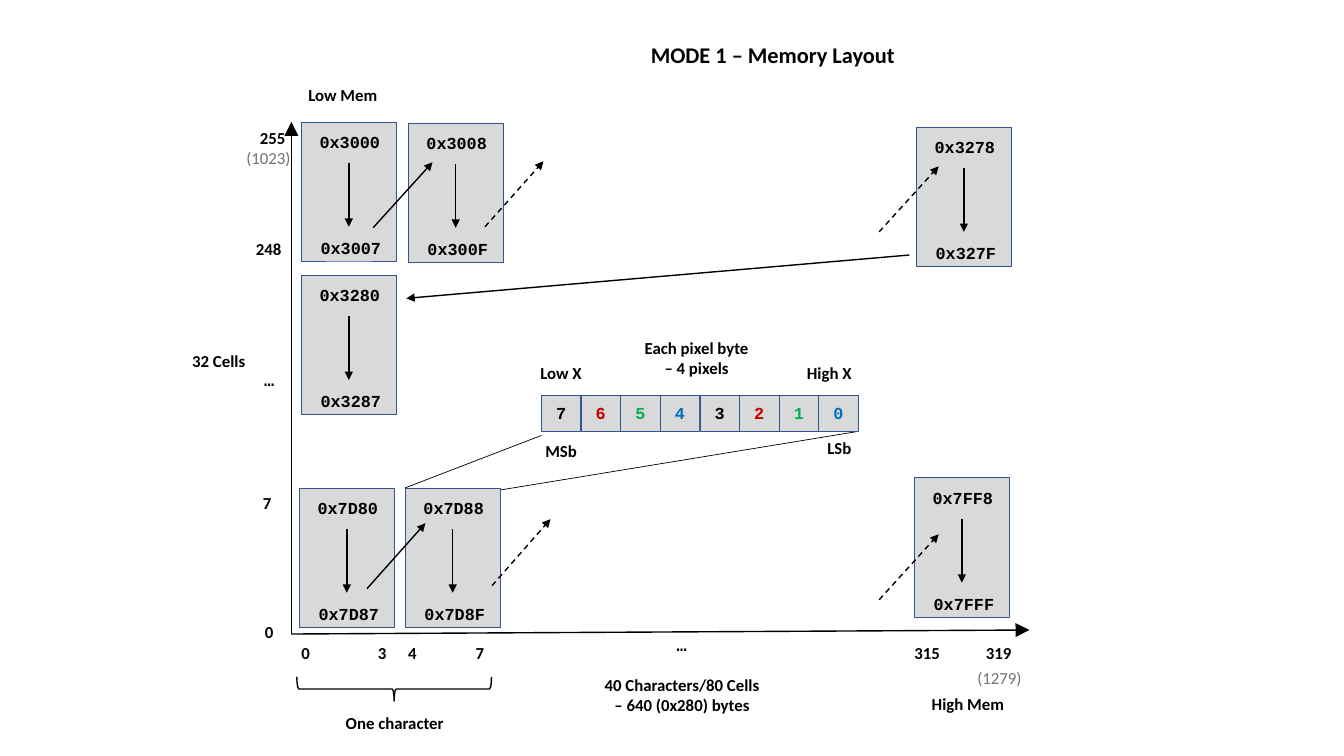
"""Build the MODE 1 memory layout slide."""
from lxml import etree
from pptx import Presentation
from pptx.dml.color import RGBColor
from pptx.enum.dml import MSO_LINE
from pptx.enum.shapes import MSO_CONNECTOR, MSO_SHAPE
from pptx.enum.text import MSO_ANCHOR, MSO_AUTO_SIZE, PP_ALIGN
from pptx.oxml.ns import qn
from pptx.util import Inches, Pt

LEFT, CENTER, RIGHT = PP_ALIGN.LEFT, PP_ALIGN.CENTER, PP_ALIGN.RIGHT
TOP, MIDDLE = MSO_ANCHOR.TOP, MSO_ANCHOR.MIDDLE
STRAIGHT, DASH = MSO_CONNECTOR.STRAIGHT, MSO_LINE.DASH
RECTANGLE, BRACE = MSO_SHAPE.RECTANGLE, MSO_SHAPE.LEFT_BRACE
BODY, CODE = "Calibri", "Courier New"
COLORS = {
    "black": "000000", "gray": "767171", "fill": "D9D9D9", "border": "325491",
    "red": "C00000", "green": "00B050", "blue": "0070C0",
}

TITLE = "MODE 1 – Memory Layout"
CELL_WIDTH, CELL_HEIGHT = 0.94, 1.38
CELLS = [
    ("0x3000", "0x3007", 2.99, 1.21),
    ("0x3008", "0x300F", 4.05, 1.22),
    ("0x3278", "0x327F", 9.09, 1.26),
    ("0x3280", "0x3287", 2.99, 2.73),
    ("0x7D80", "0x7D87", 2.97, 4.84),
    ("0x7D88", "0x7D8F", 4.02, 4.84),
    ("0x7FF8", "0x7FFF", 9.07, 4.74),
]
AXES = [(2.89, 6.29, 2.89, 1.21), (2.89, 6.29, 10.21, 6.25)]
STEPS = [(3.7, 2.26, 4.29, 1.61), (3.64, 5.84, 4.22, 5.19), (9.02, 2.53, 4.03, 2.96)]
SKIPS = [(4.81, 2.25, 5.39, 1.6), (8.72, 2.3, 9.31, 1.65),
         (4.88, 5.81, 5.46, 5.15), (8.72, 5.95, 9.31, 5.3)]
ZOOM_LINES = [(4.02, 4.84, 5.37, 4.32), (4.97, 4.86, 8.51, 4.28)]

BIT_COLORS = ["black", "red", "green", "blue"]
BIT_COUNT = 8
BITS_LEFT, BITS_TOP, BIT_PITCH, BIT_WIDTH, BIT_HEIGHT = 5.37, 3.92, 0.393, 0.39, 0.36

X_TOP = 6.33
LABELS = [
    ("255", 2.46, 1.22, 0.47, RIGHT),
    ("248", 2.14, 2.32, 0.75, RIGHT),
    ("7", 2.51, 4.84, 0.27, LEFT),
    ("0", 2.53, 6.12, 0.27, LEFT),
    ("0", 2.89, X_TOP, 0.27, LEFT),
    ("3", 3.65, X_TOP, 0.27, LEFT),
    ("4", 3.95, X_TOP, 0.27, LEFT),
    ("7", 4.62, X_TOP, 0.38, LEFT),
    ("315", 8.95, X_TOP, 0.47, RIGHT),
    ("319", 9.66, X_TOP, 0.47, RIGHT),
    ("Low Mem", 2.93, 0.79, 0.94, CENTER),
    ("High Mem", 9.13, 6.83, 0.94, CENTER),
    ("32 Cells", 1.65, 3.43, 1.04, CENTER),
    ("Low X", 5.25, 3.55, 0.63, CENTER),
    ("High X", 7.89, 3.55, 0.67, CENTER),
    ("MSb", 5.25, 4.32, 0.63, CENTER),
    ("LSb", 8.01, 4.29, 0.63, CENTER),
    ("Each pixel byte – 4 pixels", 6.28, 3.3, 1.26, CENTER),
    ("40 Characters/80 Cells – 640 (0x280) bytes", 5.86, 6.64, 1.81, CENTER),
    ("One character", 3.01, 7.02, 1.81, CENTER),
]
SCALED_LABELS = [("(1023)", 2.23, 1.42), ("(1279)", 9.48, 6.58)]
ELLIPSES = [(2.2, 3.62), (6.29, 6.25)]


def rgb(name):
    return RGBColor.from_string(COLORS[name])


def write(shape, text, align=CENTER, font=BODY, color="black", bold=True, size=12, anchor=TOP):
    frame = shape.text_frame
    frame.text = text
    frame.word_wrap = True
    frame.auto_size = MSO_AUTO_SIZE.NONE
    frame.vertical_anchor = anchor
    paragraph = frame.paragraphs[0]
    paragraph.alignment = align
    paragraph.font.name = font
    paragraph.font.size = Pt(size)
    paragraph.font.bold = bold
    paragraph.font.color.rgb = rgb(color)


def add_label(text, left, top, width, align=CENTER, **style):
    box = shapes.add_textbox(Inches(left), Inches(top), Inches(width), Inches(0.3))
    write(box, text, align, **style)


def add_box(left, top, width, height):
    box = shapes.add_shape(RECTANGLE, Inches(left), Inches(top), Inches(width), Inches(height))
    box.shadow.inherit = False
    box.fill.solid()
    box.fill.fore_color.rgb = rgb("fill")
    box.line.color.rgb = rgb("border")
    box.line.width = Pt(0.5)
    return box


def add_line(ends, weight=1, head="med", dash=None):
    line = shapes.add_connector(STRAIGHT, *[Inches(value) for value in ends])
    line.line.color.rgb = rgb("black")
    line.line.width = Pt(weight)
    if dash:
        line.line.dash_style = dash
    if head:
        arrow = etree.SubElement(line.line._get_or_add_ln(), qn("a:tailEnd"))
        arrow.set("type", "triangle")
        arrow.set("w", head)
        arrow.set("len", head)
    etree.SubElement(line._element.spPr, qn("a:effectLst"))


def add_cell(first, last, left, top):
    add_box(left, top, CELL_WIDTH, CELL_HEIGHT)
    add_label(first, left + 0.01, top + 0.05, CELL_WIDTH, font=CODE)
    add_label(last, left + 0.02, top + 1.1, CELL_WIDTH, font=CODE)
    middle = left + CELL_WIDTH / 2
    add_line((middle, top + 0.41, middle, top + 1.04))


presentation = Presentation()
presentation.slide_width = Inches(13.33)
presentation.slide_height = Inches(7.5)
slide = presentation.slides.add_slide(presentation.slide_layouts[5])
shapes = slide.shapes

title = shapes.title
title.left, title.top = Inches(6.27), Inches(0.36)
title.width, title.height = Inches(2.79), Inches(0.37)
write(title, TITLE, size=16)

for axis in AXES:
    add_line(axis, head="lg")
for cell in CELLS:
    add_cell(*cell)
for step in STEPS:
    add_line(step)
for skip in SKIPS:
    add_line(skip, dash=DASH)
for zoom_line in ZOOM_LINES:
    add_line(zoom_line, weight=0.5, head=None)

for index in range(BIT_COUNT):
    bit = add_box(BITS_LEFT + index * BIT_PITCH, BITS_TOP, BIT_WIDTH, BIT_HEIGHT)
    write(bit, str(BIT_COUNT - 1 - index), font=CODE,
          color=BIT_COLORS[index % len(BIT_COLORS)], anchor=MIDDLE)

for label in LABELS:
    add_label(*label)
for text, left, top in SCALED_LABELS:
    add_label(text, left, top, 0.75, RIGHT, color="gray", bold=False)
for left, top in ELLIPSES:
    add_label("…", left, top, 0.94, font=CODE)

brace = shapes.add_shape(BRACE, Inches(3.79), Inches(5.87), Inches(0.24), Inches(1.93))
brace.rotation = 270
brace.shadow.inherit = False
brace.fill.background()
brace.line.color.rgb = rgb("black")
brace.line.width = Pt(1)

presentation.save("out.pptx")
